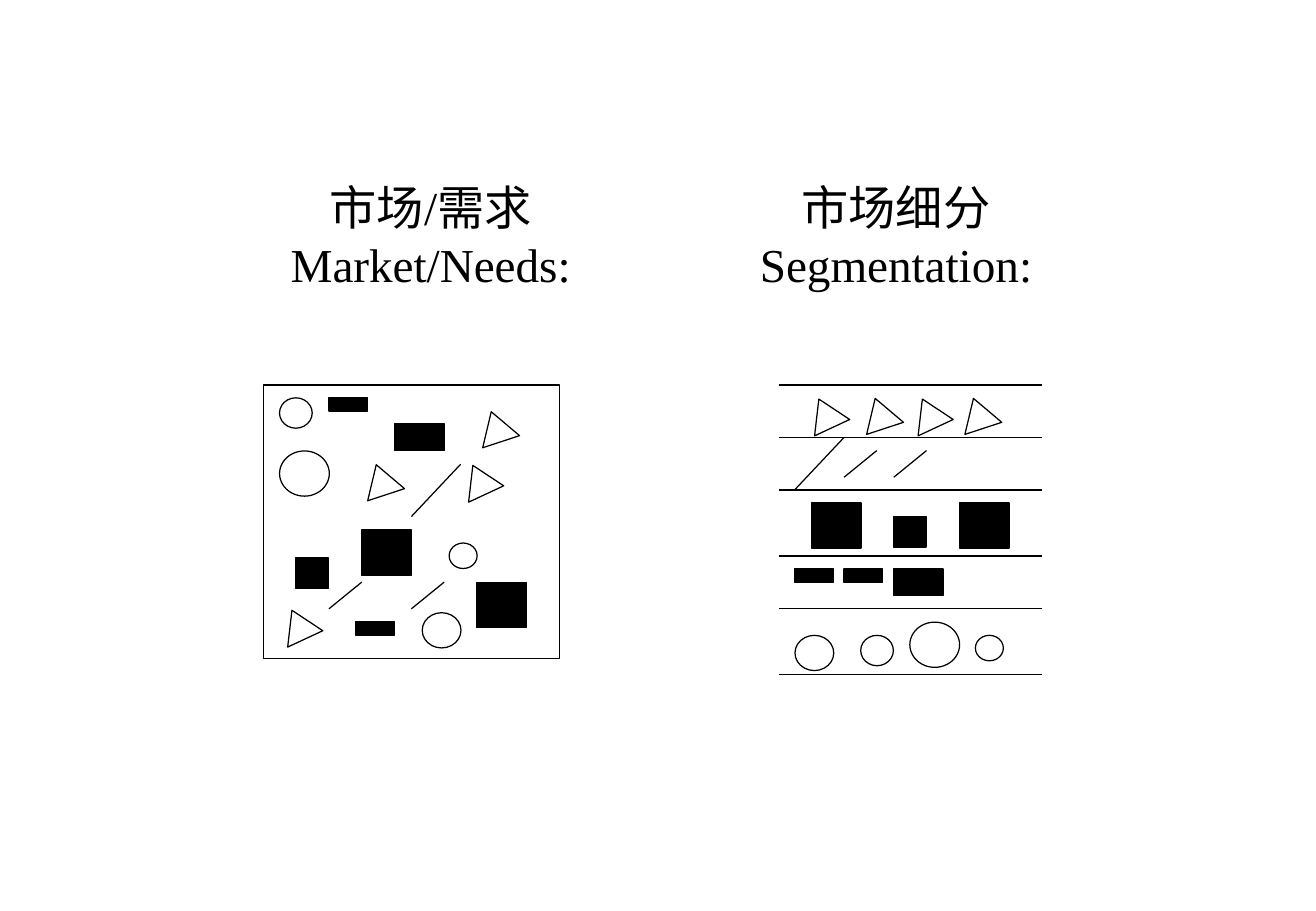
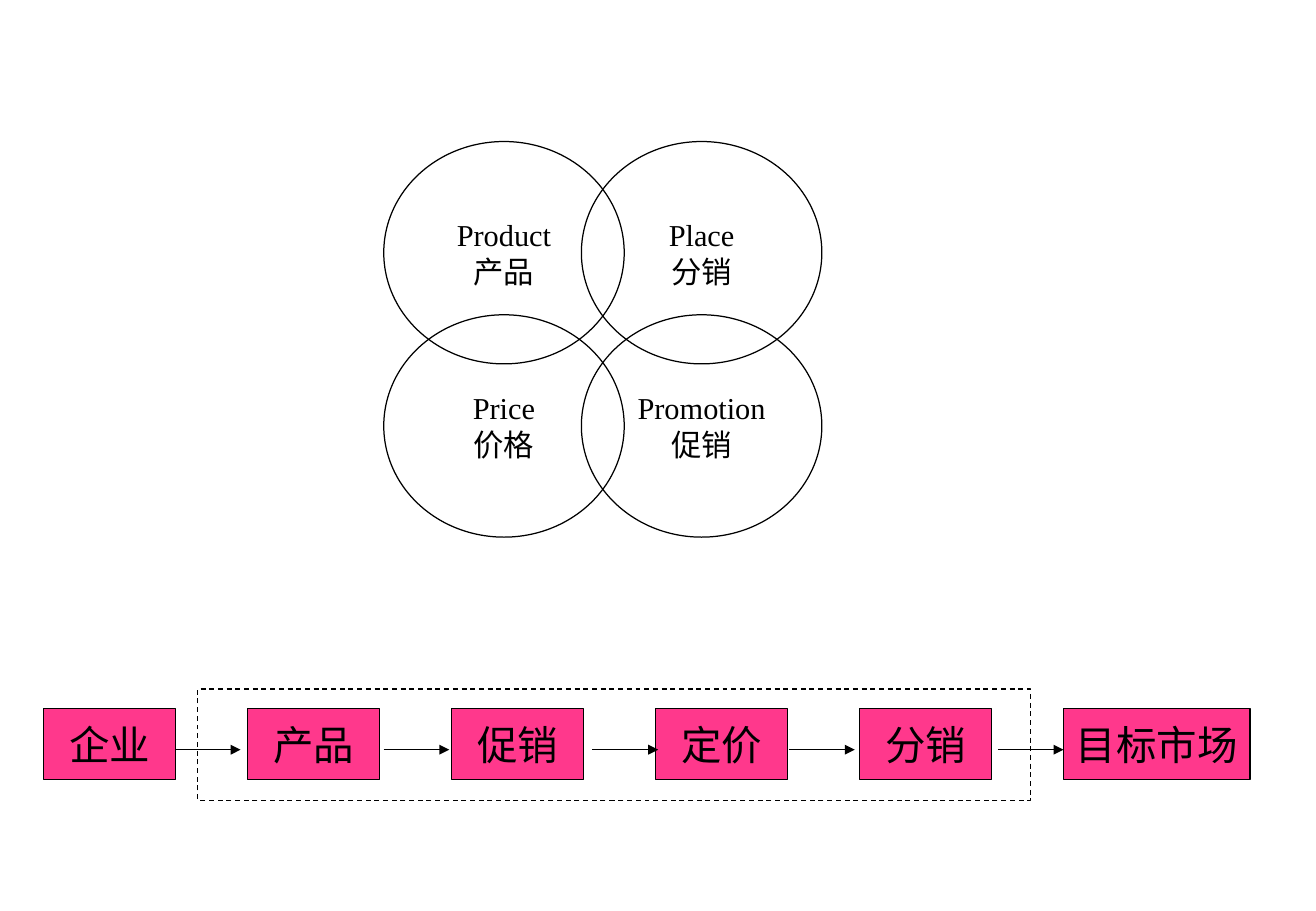
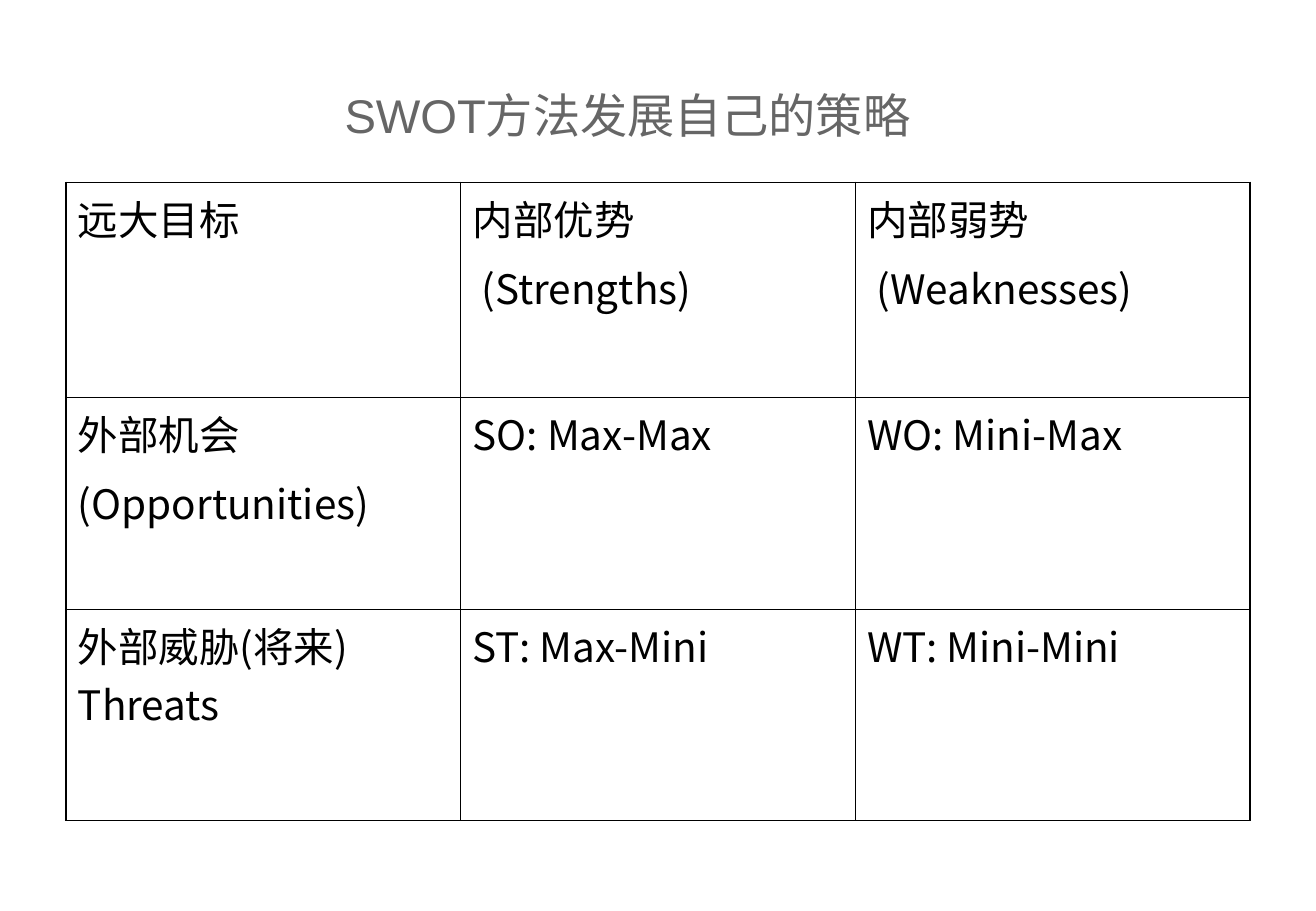
from dataclasses import dataclass

from pptx import Presentation
from pptx.dml.color import RGBColor
from pptx.enum.dml import MSO_LINE
from pptx.enum.shapes import MSO_CONNECTOR, MSO_SHAPE
from pptx.enum.text import MSO_ANCHOR, MSO_AUTO_SIZE, PP_ALIGN
from pptx.oxml.xmlchemy import OxmlElement
from pptx.util import Pt

COLORS = {"ink": "000000", "paper": "FFFFFF", "pink": "FF388C", "title": "666666"}
SERIF, SANS, CJK = "Times New Roman", "Arial", "Noto Sans CJK SC"
SLIDE_WIDTH, SLIDE_HEIGHT = 780.48, 540
LINE_WIDTH = 0.75
OUTER_BORDER, INNER_BORDER = 1.08, 0.45
TITLE_ONLY, BLANK = 5, 6


@dataclass(frozen=True)
class Box:
    left: float
    top: float
    width: float
    height: float


@dataclass(frozen=True)
class Mark:
    """A kind of customer need, drawn the same wherever it appears."""
    preset: MSO_SHAPE
    width: float
    height: float
    fill: str = "paper"
    rotation: float = 0


@dataclass(frozen=True)
class Panel:
    marks: dict[str, list[tuple[float, float]]]
    slants: dict[str, list[tuple[float, float]]]


MARKS = {
    "tiny circle": Mark(MSO_SHAPE.OVAL, 16.6, 15.1),
    "small circle": Mark(MSO_SHAPE.OVAL, 19.4, 18),
    "medium circle": Mark(MSO_SHAPE.OVAL, 23, 20.9),
    "large circle": Mark(MSO_SHAPE.OVAL, 29.5, 26.8),
    "bar": Mark(MSO_SHAPE.RECTANGLE, 23, 7.9, "ink"),
    "slab": Mark(MSO_SHAPE.RECTANGLE, 29.5, 15.8, "ink"),
    "small square": Mark(MSO_SHAPE.RECTANGLE, 19.4, 18, "ink"),
    "large square": Mark(MSO_SHAPE.RECTANGLE, 29.5, 26.8, "ink"),
    "triangle": Mark(MSO_SHAPE.ISOSCELES_TRIANGLE, 23, 18.7, rotation=341.8),
    "tilted triangle": Mark(MSO_SHAPE.ISOSCELES_TRIANGLE, 23, 18.7, rotation=335.1),
}
SLANTS = {"long": (29.2, 31), "short": (19.4, 15.8)}

MARKET_FRAME = Box(156.2, 228.2, 175.7, 162)
MARKET = Panel(
    marks={
        "small circle": [(165.8, 235.8)],
        "large circle": [(165.8, 267.3)],
        "tiny circle": [(266.4, 321.9)],
        "medium circle": [(250.4, 363.2)],
        "bar": [(195.1, 235.8), (211, 368.6)],
        "slab": [(234, 251.3)],
        "large square": [(282.7, 345.1), (214.5, 314.1)],
        "small square": [(175.4, 330.8)],
        "triangle": [(282.8, 243.6), (214.6, 275)],
        "tilted triangle": [(165.6, 360.9), (272.9, 275)],
    },
    slants={"long": [(244, 275.2)], "short": [(195.1, 345.1), (244, 345.1)]},
)

RULE_LEFT, RULE_RIGHT = 461.8, 617.8
RULE_TOPS = (228.3, 259.4, 290.5, 329.6, 360.9, 399.9)
SEGMENTS = Panel(
    marks={
        "triangle": [(568.8, 235.7), (510.5, 235.7)],
        "tilted triangle": [(478.1, 235.7), (539.5, 235.7)],
        "large square": [(569, 298.1), (481.2, 298.1)],
        "small square": [(529.9, 306.2)],
        "bar": [(500.6, 337.2), (471.3, 337.2)],
        "slab": [(529.8, 337.2)],
        "small circle": [(510.5, 376.6)],
        "large circle": [(539.6, 368.8)],
        "tiny circle": [(578.5, 376.6)],
        "medium circle": [(471.5, 376.6)],
    },
    slants={"long": [(471.2, 259.5)], "short": [(500.6, 267.1), (530.1, 267.1)]},
)

HEADINGS = ("市场/需求\nMarket/Needs:", "市场细分\nSegmentation:")
MIX = (("Product\n产品", "Place\n分销"), ("Price\n价格", "Promotion\n促销"))
FLOW = ("企业", "产品", "促销", "定价", "分销", "目标市场")
FLOW_ARROW_STARTS = (103.7, 227.5, 351.4, 468, 591.8)
SWOT = (
    ("远大目标", "内部优势\n (Strengths)", "内部弱势\n (Weaknesses)"),
    ("外部机会\n(Opportunities)", "SO: Max-Max", "WO: Mini-Max"),
    ("外部威胁(将来) Threats", "ST: Max-Mini", "WT: Mini-Mini"),
)


def rgb(name: str) -> RGBColor:
    return RGBColor.from_string(COLORS[name])


def write(tf, text: str, size: float, font: str, color: str = "ink",
          align: PP_ALIGN = PP_ALIGN.CENTER, space_before: float = 0) -> None:
    """Fill a text frame; space_before separates its paragraphs."""
    tf.text = text
    for i, p in enumerate(tf.paragraphs):
        p.alignment = align
        p.space_before = Pt(space_before if i else 0)
        for r in p.runs:
            r.font.size = Pt(size)
            r.font.name = font
            r.font.color.rgb = rgb(color)
            ea = OxmlElement("a:ea")
            ea.set("typeface", CJK)
            r.font._element.find("{*}latin").addnext(ea)


def add_figure(shapes, preset: MSO_SHAPE, box: Box, fill: str | None = None):
    sp = shapes.add_shape(preset, Pt(box.left), Pt(box.top), Pt(box.width), Pt(box.height))
    sp.shadow.inherit = False
    if fill:
        sp.fill.solid()
        sp.fill.fore_color.rgb = rgb(fill)
    else:
        sp.fill.background()
    sp.line.color.rgb = rgb("ink")
    sp.line.width = Pt(LINE_WIDTH)
    return sp


def add_line(shapes, x1: float, y1: float, x2: float, y2: float, arrow: bool = False) -> None:
    line = shapes.add_connector(MSO_CONNECTOR.STRAIGHT, Pt(x1), Pt(y1), Pt(x2), Pt(y2))
    line.line.color.rgb = rgb("ink")
    line.line.width = Pt(LINE_WIDTH)
    if arrow:
        tail = OxmlElement("a:tailEnd")
        tail.set("type", "triangle")
        line.line._get_or_add_ln().append(tail)
    line._element.spPr.append(OxmlElement("a:effectLst"))


def add_panel(shapes, panel: Panel) -> None:
    for name, places in panel.marks.items():
        mark = MARKS[name]
        for left, top in places:
            box = Box(left, top, mark.width, mark.height)
            sp = add_figure(shapes, mark.preset, box, mark.fill)
            sp.rotation = mark.rotation
    for name, places in panel.slants.items():
        width, height = SLANTS[name]
        for left, top in places:
            add_line(shapes, left + width, top, left, top + height)


def add_segmentation_slide(prs) -> None:
    s = prs.slides.add_slide(prs.slide_layouts[BLANK])
    width = 276
    for i, heading in enumerate(HEADINGS):
        tb = s.shapes.add_textbox(Pt(117.4 + i * width), Pt(102.4), Pt(width), Pt(79.2))
        tb.text_frame.word_wrap = True
        write(tb.text_frame, heading, 28, SERIF)

    market = s.shapes.add_group_shape().shapes
    add_figure(market, MSO_SHAPE.RECTANGLE, MARKET_FRAME, "paper")
    add_panel(market, MARKET)

    segments = s.shapes.add_group_shape().shapes
    for top in RULE_TOPS:
        add_line(segments, RULE_LEFT, top, RULE_RIGHT, top)
    add_panel(segments, SEGMENTS)


def add_marketing_mix_slide(prs) -> None:
    s = prs.slides.add_slide(prs.slide_layouts[BLANK])
    for row, labels in enumerate(MIX):
        for col, label in enumerate(labels):
            box = Box(227.6 + col * 117.2, 83.9 + row * 102.7, 142.6, 131.8)
            sp = add_figure(s.shapes, MSO_SHAPE.OVAL, box)
            sp.text_frame.vertical_anchor = MSO_ANCHOR.MIDDLE
            write(sp.text_frame, label, 18, SERIF)

    for i, label in enumerate(FLOW):
        width = 110.5 if label == FLOW[-1] else 78.1
        box = Box(25.9 + i * 121, 420.2, width, 42)
        sp = add_figure(s.shapes, MSO_SHAPE.RECTANGLE, box, "pink")
        sp.text_frame.word_wrap = False
        sp.text_frame.vertical_anchor = MSO_ANCHOR.MIDDLE
        write(sp.text_frame, label, 24, SERIF)
    for start in FLOW_ARROW_STARTS:
        add_line(s.shapes, start, 444.4, start + 39, 444.4, arrow=True)

    frame = add_figure(s.shapes, MSO_SHAPE.RECTANGLE, Box(117.2, 408.4, 494, 66))
    frame.line.dash_style = MSO_LINE.DASH


def set_borders(cell, widths: dict[str, float]) -> None:
    """Draw cell borders; widths maps the sides L, R, T, B, in that order."""
    tcPr = cell._tc.get_or_add_tcPr()
    for i, (side, width) in enumerate(widths.items()):
        ln = OxmlElement(f"a:ln{side}")
        ln.set("w", str(Pt(width)))
        fill = OxmlElement("a:solidFill")
        color = OxmlElement("a:srgbClr")
        color.set("val", COLORS["ink"])
        fill.append(color)
        ln.append(fill)
        tcPr.insert(i, ln)


def add_swot_slide(prs) -> None:
    s = prs.slides.add_slide(prs.slide_layouts[TITLE_ONLY])
    title = s.shapes.title
    title.left, title.top, title.width, title.height = Pt(69), Pt(60.2), Pt(606.2), Pt(15.8)
    title.text_frame.auto_size = MSO_AUTO_SIZE.NONE
    title.text_frame.vertical_anchor = MSO_ANCHOR.MIDDLE
    write(title.text_frame, "SWOT方法发展自己的策略", 28, SANS, "title")

    rows, cols = len(SWOT), len(SWOT[0])
    table = s.shapes.add_table(rows, cols, Pt(39), Pt(108.2), Pt(702.3), Pt(378.2)).table
    table.first_row = table.horz_banding = False
    for row, height in zip(table.rows, (127.6, 125.3, 125.3)):
        row.height = Pt(height)
    for i, texts in enumerate(SWOT):
        for j, text in enumerate(texts):
            cell = table.cell(i, j)
            cell.fill.background()
            write(cell.text_frame, text, 24, CJK, align=PP_ALIGN.LEFT, space_before=6)
            on_edge = {"L": j == 0, "R": j == cols - 1, "T": i == 0, "B": i == rows - 1}
            set_borders(cell, {side: OUTER_BORDER if edge else INNER_BORDER
                               for side, edge in on_edge.items()})


def main() -> None:
    prs = Presentation()
    prs.slide_width, prs.slide_height = Pt(SLIDE_WIDTH), Pt(SLIDE_HEIGHT)
    add_segmentation_slide(prs)
    add_marketing_mix_slide(prs)
    add_swot_slide(prs)
    prs.save("out.pptx")


if __name__ == "__main__":
    main()
